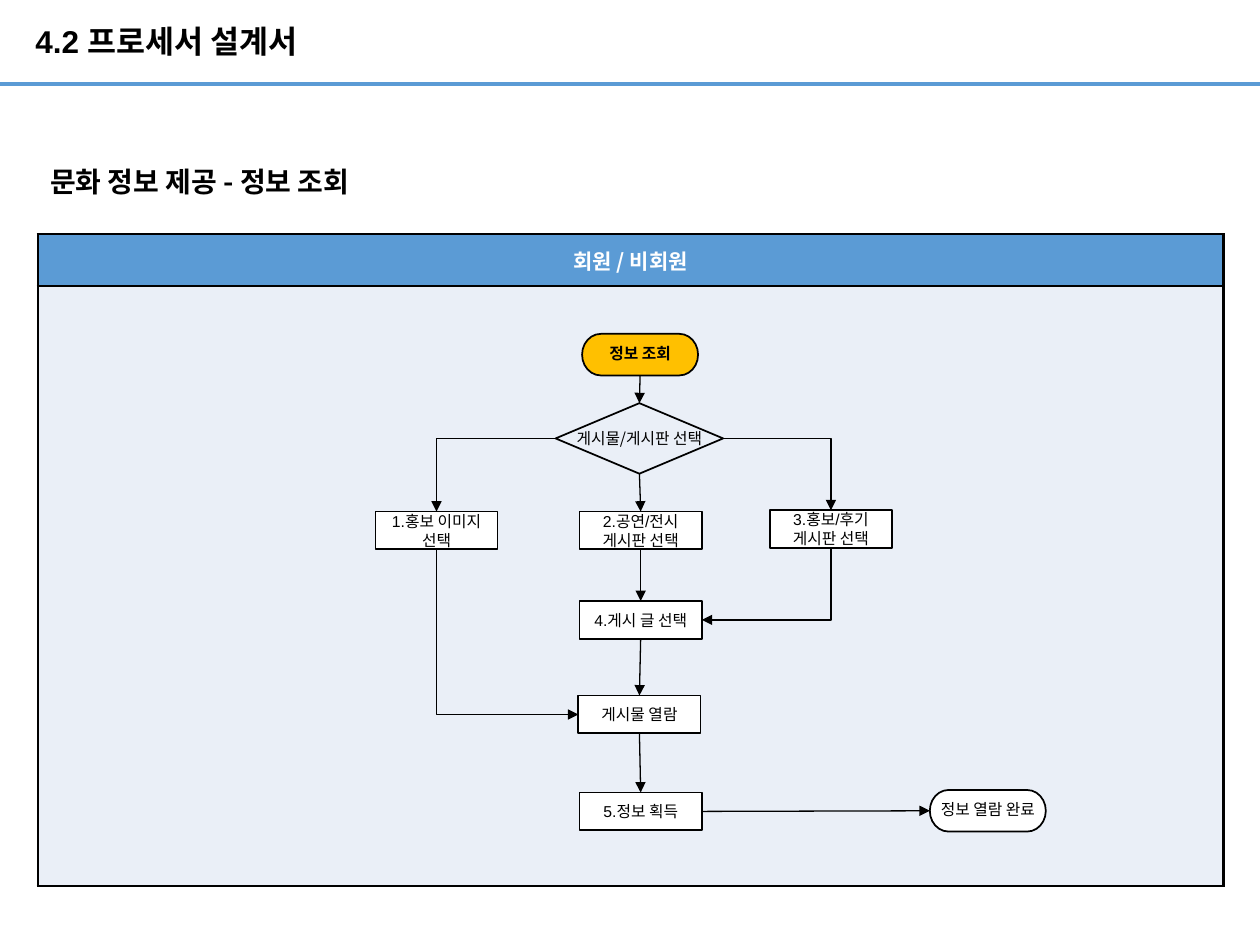
from lxml.etree import SubElement
from pptx import Presentation
from pptx.dml.color import RGBColor
from pptx.enum.shapes import MSO_CONNECTOR, MSO_SHAPE
from pptx.enum.text import MSO_ANCHOR, MSO_AUTO_SIZE, PP_ALIGN
from pptx.oxml.ns import qn
from pptx.util import Inches, Pt

COLORS = {"ink": "000000", "paper": "FFFFFF", "blue": "5B9BD5",
          "lane": "EAEFF7", "start": "FFC000"}
LATIN, KOREAN = "Arial", "Noto Sans CJK KR"
TOP, LEFT, BOTTOM, RIGHT = range(4)  # connection sites


def rgb(name):
    return RGBColor.from_string(COLORS[name])


def site_point(shape, site):
    across, down = {TOP: (1, 0), LEFT: (0, 1), BOTTOM: (1, 2), RIGHT: (2, 1)}[site]
    return shape.left + shape.width * across // 2, shape.top + shape.height * down // 2


class FlowSlide:
    """Holds the shared style and the slide being drawn."""

    def __init__(self, slide):
        self.slide = slide
        self.shapes = slide.shapes

    def set_text(self, frame, text, size, font=LATIN, color="ink", bold=False,
                 align=PP_ALIGN.LEFT, spacing=None):
        frame.text = text
        paragraph = frame.paragraphs[0]
        paragraph.alignment = align
        paragraph.line_spacing = spacing
        for run in paragraph.runs:
            run.font.size, run.font.bold = Pt(size), bold
            run.font.name = font
            run.font.color.rgb = rgb(color)
            SubElement(run._r.get_or_add_rPr(), qn("a:ea"), typeface=KOREAN)

    def set_margins(self, frame, horizontal, vertical):
        frame.margin_left = frame.margin_right = Inches(horizontal)
        frame.margin_top = frame.margin_bottom = Inches(vertical)

    def title(self, text):
        title = self.shapes.title
        title.left, title.top = Inches(0.28), Inches(0)
        title.width, title.height = Inches(6.54), Inches(0.68)
        frame = title.text_frame
        frame.auto_size = MSO_AUTO_SIZE.NONE
        frame.vertical_anchor = MSO_ANCHOR.MIDDLE
        self.set_margins(frame, 0, 0)
        self.set_text(frame, text, 18, bold=True, spacing=0.9)

    def subtitle(self, text):
        box = self.shapes.add_textbox(Inches(0.3), Inches(1.26), Inches(3.85), Inches(0.37))
        box.text_frame.word_wrap = True
        box.text_frame.auto_size = MSO_AUTO_SIZE.SHAPE_TO_FIT_TEXT
        self.set_text(box.text_frame, text, 16, KOREAN, bold=True)

    def lane(self, heading):
        """A one-column table: a heading row over the empty flow area."""
        table = self.shapes.add_table(2, 1, Inches(0.3), Inches(1.86),
                                      Inches(9.41), Inches(5.17)).table
        table.rows[0].height, table.rows[1].height = Inches(0.41), Inches(4.76)
        head, body = table.cell(0, 0), table.cell(1, 0)
        head.vertical_anchor = MSO_ANCHOR.MIDDLE
        self.set_text(head.text_frame, heading, 12, KOREAN, "paper", True, PP_ALIGN.CENTER)
        self.cell_style(head, "blue", top=1.5, bottom=0.75)
        self.cell_style(body, "lane", top=0.75, bottom=1.5)

    def cell_style(self, cell, fill, top, bottom):
        properties = cell._tc.get_or_add_tcPr()
        for tag, width in (("lnL", 1.5), ("lnR", 1.5), ("lnT", top), ("lnB", bottom)):
            border = SubElement(properties, qn(f"a:{tag}"), w=str(Pt(width)))
            solid = SubElement(border, qn("a:solidFill"))
            SubElement(solid, qn("a:srgbClr"), val=COLORS["ink"])
        cell.fill.solid()
        cell.fill.fore_color.rgb = rgb(fill)

    def node(self, kind, text, left, top, width, height, fill="paper",
             font=LATIN, bold=False, spacing=None):
        shape = self.shapes.add_shape(kind, Inches(left), Inches(top),
                                      Inches(width), Inches(height))
        shape.shadow.inherit = False
        if fill:
            shape.fill.solid()
            shape.fill.fore_color.rgb = rgb(fill)
        else:
            shape.fill.background()
        shape.line.color.rgb = rgb("ink")
        shape.line.width = Pt(1)
        frame = shape.text_frame
        frame.word_wrap = True
        frame.vertical_anchor = MSO_ANCHOR.MIDDLE
        self.set_margins(frame, 0.02, 0)
        self.set_text(frame, text, 9, font, bold=bold, align=PP_ALIGN.CENTER,
                      spacing=spacing)
        return shape

    def step(self, text, left, top):
        return self.node(MSO_SHAPE.RECTANGLE, text, left, top, 0.97, 0.3)

    def terminator(self, text, left, top, fill="paper", bold=False):
        return self.node(MSO_SHAPE.FLOWCHART_TERMINATOR, text, left, top, 0.92, 0.33,
                         fill, bold=bold, spacing=0.9)

    def decision(self, text, left, top):
        shape = self.node(MSO_SHAPE.FLOWCHART_DECISION, text, left, top, 1.33, 0.56,
                          fill=None, font=KOREAN)
        shape.text_frame.word_wrap = False
        self.set_margins(shape.text_frame, 0.04, 0.04)
        return shape

    def line(self, kind, start, end, color="ink", width=0.75):
        connector = self.shapes.add_connector(kind, *start, *end)
        connector.line.color.rgb = rgb(color)
        connector.line.width = Pt(width)
        SubElement(connector._element.spPr, qn("a:effectLst"))
        return connector

    def add_arrowhead(self, connector):
        outline = connector._element.spPr.find(qn("a:ln"))
        SubElement(outline, qn("a:tailEnd"), type="triangle")

    def arrow(self, source, source_site, target, target_site):
        connector = self.line(MSO_CONNECTOR.STRAIGHT, site_point(source, source_site),
                              site_point(target, target_site))
        connector.begin_connect(source, source_site)
        connector.end_connect(target, target_site)
        self.add_arrowhead(connector)

    def bent_arrow(self, source, source_site, target, target_site):
        """An arrow with one corner; leaving downwards, it is a quarter-turned elbow."""
        start, end = site_point(source, source_site), site_point(target, target_site)
        turned = source_site == BOTTOM
        if turned:
            mid_x, mid_y = (start[0] + end[0]) // 2, (start[1] + end[1]) // 2
            half_x, half_y = (end[0] - start[0]) // 2, (end[1] - start[1]) // 2
            start = mid_x - half_y, mid_y + half_x
            end = mid_x + half_y, mid_y - half_x
        connector = self.line(MSO_CONNECTOR.ELBOW, start, end)
        properties = connector._element.spPr
        properties.find(qn("a:prstGeom")).set("prst", "bentConnector2")
        if turned:
            properties.find(qn("a:xfrm")).set("rot", str(90 * 60000))
        self.add_arrowhead(connector)


def main():
    deck = Presentation()
    deck.slide_width, deck.slide_height = Inches(10), Inches(7.5)
    flow = FlowSlide(deck.slides.add_slide(deck.slide_layouts[5]))

    flow.line(MSO_CONNECTOR.STRAIGHT, (Inches(0), Inches(0.67)),
              (Inches(10), Inches(0.67)), "blue", 2.25)
    flow.title("4.2 프로세서 설계서")
    flow.subtitle("문화 정보 제공 - 정보 조회")
    flow.lane("회원 / 비회원")

    start = flow.terminator("정보 조회", 4.62, 2.65, "start", bold=True)
    choice = flow.decision("게시물/게시판 선택", 4.41, 3.2)
    image = flow.step("1.홍보 이미지 선택", 2.98, 4.06)
    show = flow.step("2.공연/전시 게시판 선택", 4.6, 4.06)
    review = flow.step("3.홍보/후기 게시판 선택", 6.11, 4.05)
    post = flow.step("4.게시 글 선택", 4.6, 4.77)
    reading = flow.step("게시물 열람", 4.59, 5.52)
    gained = flow.step("5.정보 획득", 4.6, 6.29)
    finish = flow.terminator("정보 열람 완료", 7.38, 6.27)

    main_path = [start, choice, show, post, reading, gained]
    for upper, lower in zip(main_path, main_path[1:]):
        flow.arrow(upper, BOTTOM, lower, TOP)
    flow.arrow(gained, RIGHT, finish, LEFT)
    flow.bent_arrow(choice, LEFT, image, TOP)
    flow.bent_arrow(choice, RIGHT, review, TOP)
    flow.bent_arrow(image, BOTTOM, reading, LEFT)
    flow.bent_arrow(review, BOTTOM, post, RIGHT)

    deck.save("out.pptx")


if __name__ == "__main__":
    main()
